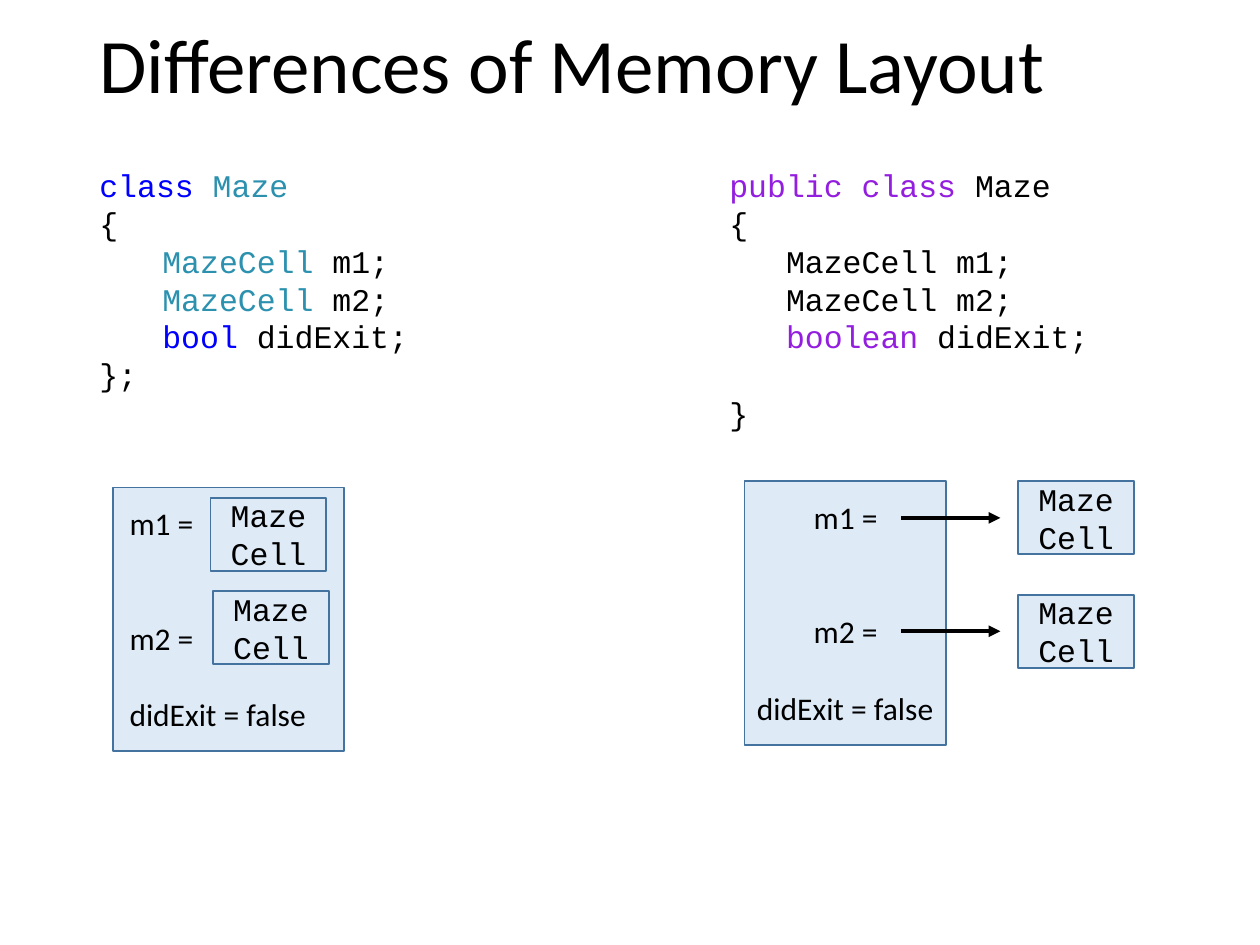
from lxml import etree
from pptx import Presentation
from pptx import util as u
from pptx.dml.color import RGBColor
from pptx.enum import shapes, text
from pptx.oxml.ns import qn

BLACK, BLUE, TEAL, PURPLE = "000000", "0000FF", "2B91AF", "941EDF"
CODE_FONT, BODY_FONT = "Courier New", "Calibri"
LINE_PT = 22

# Each code line: indent in inches, then (text, colour) runs.
CPP_CODE = [
    (0, [("class", BLUE), (" ", BLACK), ("Maze", TEAL)]),
    (0, [("{", BLACK)]),
    (0.5, [("MazeCell", TEAL), (" m1;", BLACK)]),
    (0.5, [("MazeCell", TEAL), (" m2;", BLACK)]),
    (0.5, [("bool", BLUE), (" didExit;", BLACK)]),
    (0, [("};", BLACK)]),
]
JAVA_CODE = [
    (0, [("public class", PURPLE), (" Maze", BLACK)]),
    (0, [("{", BLACK)]),
    (0.45, [("MazeCell m1;", BLACK)]),
    (0.45, [("MazeCell m2;", BLACK)]),
    (0.45, [("boolean ", PURPLE), ("didExit;", BLACK)]),
    (0, [("}", BLACK)]),
]


def color(hex_string):
    """Turn a hex string into a colour."""
    return RGBColor.from_string(hex_string)


def style_run(run, font, size, hex_string):
    """Set font, size and colour of a run."""
    run.font.name = font
    run.font.size = u.Pt(size)
    run.font.color.rgb = color(hex_string)


def add_lines(parent, box, lines, font, size=18, gaps=None):
    """Add a text box of indented lines; gaps gives blank lines before a line."""
    frame = parent.add_textbox(*map(u.Inches, box)).text_frame
    frame.word_wrap = True
    for number, (indent, runs) in enumerate(lines):
        line = frame.add_paragraph() if number else frame.paragraphs[0]
        if indent:
            line._p.get_or_add_pPr().set("marL", str(u.Inches(indent)))
        if gaps and number in gaps:
            line.space_before = u.Pt(gaps[number] * LINE_PT)
        for words, hex_string in runs:
            run = line.add_run()
            run.text = words
            style_run(run, font, size, hex_string)
    return frame


def add_block(parent, box, label=""):
    """Add a pale blue memory block with an optional label."""
    block = parent.add_shape(shapes.MSO_SHAPE.RECTANGLE, *map(u.Inches, box))
    block.shadow.inherit = False
    block.fill.solid()
    block.fill.fore_color.rgb = color("DEEBF7")
    block.line.color.rgb = color("43739E")
    block.line.width = u.Pt(1)
    if label:
        frame = block.text_frame
        frame.word_wrap = True
        frame.vertical_anchor = text.MSO_ANCHOR.MIDDLE
        frame.text = label
        frame.paragraphs[0].alignment = text.PP_ALIGN.CENTER
        style_run(frame.paragraphs[0].runs[0], CODE_FONT, 18, BLACK)


def add_arrow(parent, left, right, y):
    """Add a horizontal reference arrow."""
    ends = map(u.Inches, (left, y, right, y))
    arrow = parent.add_connector(shapes.MSO_CONNECTOR.STRAIGHT, *ends)
    arrow.line.color.rgb = color(BLACK)
    arrow.line.width = u.Pt(2.25)
    etree.SubElement(arrow.line._get_or_add_ln(), qn("a:tailEnd"), type="triangle")
    etree.SubElement(arrow._element.spPr, qn("a:effectLst"))


def add_fields(parent, left, top, indent=0):
    """Add the field names of a maze object."""
    fields = [(indent, "m1 ="), (indent, "m2 ="), (0, "didExit = false")]
    lines = [(inset, [(words, BLACK)]) for inset, words in fields]
    add_lines(parent, (left, top, 1.67, 1.92), lines, BODY_FONT, gaps={1: 2, 2: 1})


def add_value_layout(slide):
    """Draw the object that holds its cells inside itself."""
    layout = slide.shapes.add_group_shape().shapes
    add_block(layout, (0.9, 3.87, 1.83, 2.09))
    add_fields(layout, 0.93, 3.95)
    for left, top in ((1.67, 3.95), (1.69, 4.69)):
        add_block(layout, (left, top, 0.92, 0.58), "MazeCell")


def add_reference_layout(slide):
    """Draw the object that points to its cells."""
    layout = slide.shapes.add_group_shape().shapes
    add_block(layout, (5.91, 3.82, 1.6, 2.09))
    for top in (3.82, 4.72):
        add_block(layout, (8.08, top, 0.92, 0.58), "MazeCell")
        add_arrow(layout, 7.15, 7.94, top + 0.29)
    add_fields(layout, 5.91, 3.9, indent=0.45)


def main():
    """Build the slide and save it."""
    deck = Presentation()
    deck.slide_width, deck.slide_height = u.Inches(10), u.Inches(7.5)
    slide = deck.slides.add_slide(deck.slide_layouts[6])

    heading = [(0, [("Differences of Memory Layout", BLACK)])]
    title = add_lines(slide.shapes, (0.69, -0.18, 8.62, 1.45), heading, BODY_FONT, 44)
    title.vertical_anchor = text.MSO_ANCHOR.MIDDLE
    title.paragraphs[0].line_spacing = 0.9

    add_lines(slide.shapes, (0.69, 1.27, 5, 1.92), CPP_CODE, CODE_FONT)
    add_lines(slide.shapes, (5.69, 1.27, 5, 2.52), JAVA_CODE, CODE_FONT, gaps={5: 1})
    add_reference_layout(slide)
    add_value_layout(slide)
    deck.save("out.pptx")


main()
